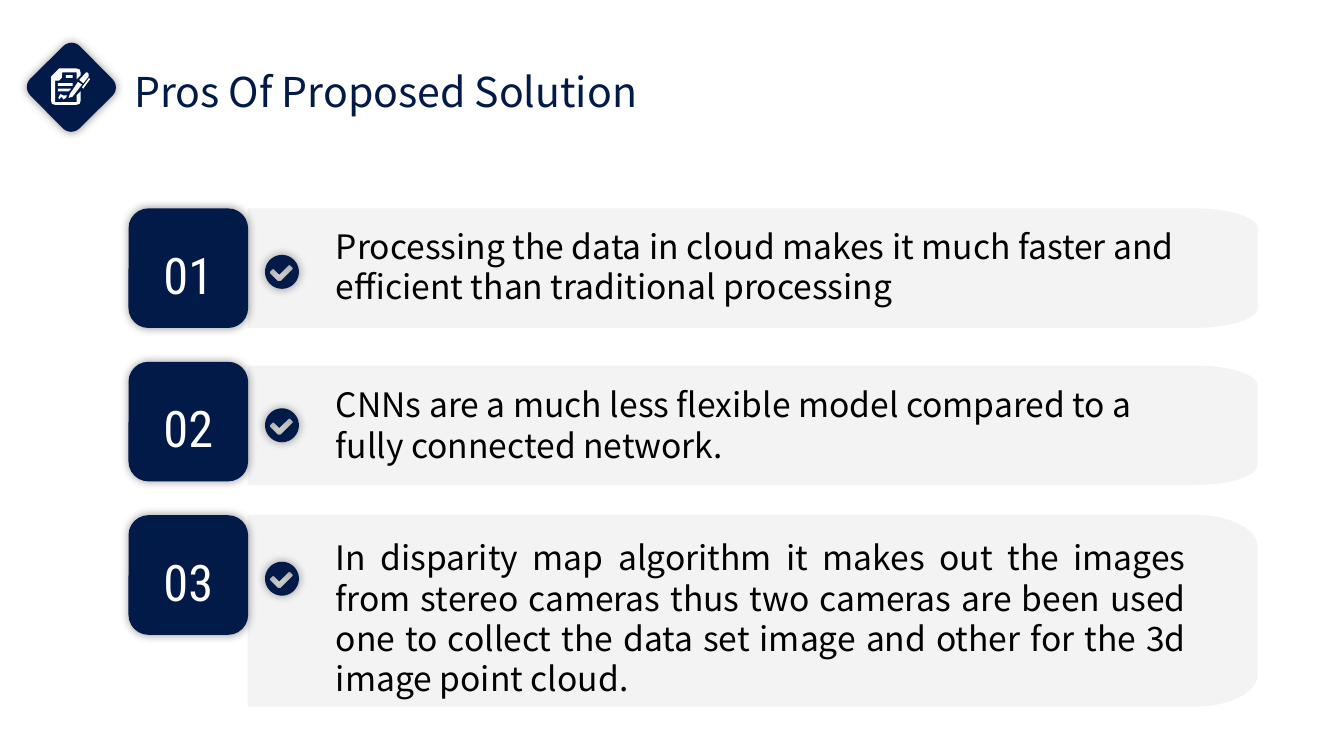
from dataclasses import dataclass
from math import cos, pi, sin

from lxml.etree import SubElement
from pptx import Presentation
from pptx.dml.color import RGBColor
from pptx.enum.shapes import MSO_SHAPE as Shape
from pptx.enum.text import MSO_ANCHOR as Anchor, MSO_AUTO_SIZE as AutoSize, PP_ALIGN as Align
from pptx.oxml.ns import qn
from pptx.util import Cm, Pt

Point = tuple[float, float]
Contour = list[Point]


@dataclass(frozen=True)
class Theme:
    navy: str = "021A48"
    panel: str = "F2F2F2"
    white: str = "FFFFFF"
    black: str = "000000"
    text_font: str = "Noto Sans CJK SC"
    number_font: str = "Roboto Condensed"
    title_size: int = 22
    body_size: int = 18
    number_size: int = 27


@dataclass(frozen=True)
class Advantage:
    text: str
    panel_top: float
    panel_height: float
    text_top: float
    text_height: float
    align: Align = Align.LEFT


THEME = Theme()

# Lengths in centimetres
TILE_LEFT, TILE_TOP, TILE_SIZE, TILE_PITCH = 2.43, 3.94, 2.26, 2.9
PANEL_LEFT, PANEL_RIGHT, PANEL_CORNER = 4.68, 23.77, 1.2
BADGE_X, BADGE_RADIUS = 5.33, 0.32
TEXT_LEFT, TEXT_WIDTH = 6.1, 16.57
HUNDREDTH_INCH = 0.0254

ADVANTAGES = [
    Advantage("Processing the data in cloud makes it much faster and efficient "
              "than traditional processing", 3.94, 2.26, 4.14, 2.57),
    Advantage("CNNs are a much less flexible model compared to a fully "
              "connected network.", 6.91, 2.26, 7.14, 1.8),
    Advantage("In disparity map algorithm it makes out the images from stereo "
              "cameras thus two cameras are been used one to collect the data "
              "set image and other for the 3d image point cloud.",
              9.73, 3.63, 10.03, 3.33, Align.JUSTIFY),
]

# Icon outlines in hundredths of an inch
NOTE_ICON = [
    [(45, 51), (57, 51), (59.3, 51.8), (60, 54), (60, 56), (57, 59), (57, 54),
     (46.3, 54), (46, 58), (44, 60), (41, 60), (41, 76), (57, 76), (57, 71),
     (60, 68), (60, 75), (59.2, 77.4), (57, 78), (41, 78), (38.7, 77.4),
     (38, 75), (38, 57), (44, 51)],
    [(49, 56), (54, 56), (54, 58), (49, 58)],
    [(43, 62), (54, 62), (54, 64), (43, 64)],
    [(43, 66), (53, 66), (51, 68), (43, 68)],
    [(45, 70), (47, 71), (50, 71), (49, 73), (47, 74), (46, 72), (44, 74), (43.5, 72.5)],
    [(58, 61), (61, 63), (54, 72), (51, 73), (52, 70)],
    [(64, 54), (65, 54), (66, 55), (66, 57), (62, 62), (59, 59.5)],
    [(66.3, 58), (67, 59), (62, 66), (61, 65)],
]
CHECK_MARK = [(8, -3), (6, -5), (5, -5), (-2, 2), (-6, -2), (-7, -2),
              (-9, 0), (-9, 1), (-3, 7), (-1, 7), (8, -2)]


def arc(center: Point, radii: Point, start: float, end: float, steps: int) -> Contour:
    angles = [start + (end - start) * step / steps for step in range(steps + 1)]
    return [(center[0] + radii[0] * cos(a), center[1] + radii[1] * sin(a)) for a in angles]


def scaled(points: Contour, origin: Point = (0, 0)) -> Contour:
    return [(origin[0] + x * HUNDREDTH_INCH, origin[1] + y * HUNDREDTH_INCH)
            for x, y in points]


def set_alpha(color_element, percent: int) -> None:
    SubElement(color_element, qn("a:alpha"), val=str(percent * 1000))


def paint(shape, color: str, opacity: int = 100, glow: bool = False) -> None:
    shape.fill.solid()
    shape.fill.fore_color.rgb = RGBColor.from_string(color)
    shape.line.fill.background()
    shape.shadow.inherit = False
    properties = shape._element.spPr
    if opacity < 100:
        set_alpha(properties.find(f"{qn('a:solidFill')}/{qn('a:srgbClr')}"), opacity)
    if glow:
        shadow = SubElement(properties.find(qn("a:effectLst")), qn("a:outerShdw"),
                            blurRad=str(Pt(5)), dist="0", dir="0",
                            algn="ctr", rotWithShape="0")
        set_alpha(SubElement(shadow, qn("a:srgbClr"), val=THEME.black), 40)


def draw_outline(page, contours: list[Contour], color: str, **look) -> None:
    emu = [[(Cm(x), Cm(y)) for x, y in contour] for contour in contours]
    builder = page.shapes.build_freeform(*emu[0][0], scale=1.0)
    for index, (first, *others) in enumerate(emu):
        if index:
            builder.move_to(*first)
        builder.add_line_segments(others, close=True)
    paint(builder.convert_to_shape(), color, **look)


def draw_square(page, left: float, top: float, size: float):
    square = page.shapes.add_shape(Shape.ROUNDED_RECTANGLE,
                                   Cm(left), Cm(top), Cm(size), Cm(size))
    paint(square, THEME.navy, glow=True)
    return square


def write(box, text: str, *, size: int, color: str, font: str = THEME.text_font,
          align: Align = Align.LEFT, spacing: float = 1.0) -> None:
    para = box.text_frame.paragraphs[0]
    para.alignment = align
    para.line_spacing = spacing
    span = para.add_run()
    span.text = text
    span.font.name = font
    span.font.size = Pt(size)
    span.font.color.rgb = RGBColor.from_string(color)


def add_text(page, left: float, top: float, width: float, height: float,
             text: str, **style) -> None:
    box = page.shapes.add_textbox(Cm(left), Cm(top), Cm(width), Cm(height))
    box.text_frame.word_wrap = True
    box.text_frame.auto_size = AutoSize.SHAPE_TO_FIT_TEXT
    write(box, text, **style)


def draw_panel(page, top: float, height: float) -> None:
    bottom, rise = top + height, height / 6
    x, radii = PANEL_RIGHT - PANEL_CORNER, (PANEL_CORNER, rise)
    outline = [(PANEL_LEFT, top),
               *arc((x, top + rise), radii, -pi / 2, 0, 12),
               *arc((x, bottom - rise), radii, 0, pi / 2, 12),
               (PANEL_LEFT, bottom)]
    draw_outline(page, [outline], THEME.panel, opacity=90)


def draw_badge(page, center: Point) -> None:
    disc = arc(center, (BADGE_RADIUS, BADGE_RADIUS), 0, 2 * pi, 48)
    draw_outline(page, [disc, scaled(CHECK_MARK, center)], THEME.navy, glow=True)


def draw_advantage(page, index: int, item: Advantage) -> None:
    tile_top = TILE_TOP + index * TILE_PITCH
    draw_panel(page, item.panel_top, item.panel_height)
    draw_badge(page, (BADGE_X, tile_top + TILE_SIZE / 2 + 0.07))
    tile = draw_square(page, TILE_LEFT, tile_top, TILE_SIZE)
    frame = tile.text_frame
    frame.vertical_anchor = Anchor.MIDDLE
    frame.margin_left = frame.margin_right = frame.margin_top = frame.margin_bottom = 0
    write(tile, f"{index + 1:02}", size=THEME.number_size, color=THEME.white,
          font=THEME.number_font, align=Align.CENTER, spacing=1.2)
    add_text(page, TEXT_LEFT, item.text_top, TEXT_WIDTH, item.text_height, item.text,
             size=THEME.body_size, color=THEME.black, align=item.align)


def main() -> None:
    deck = Presentation()
    deck.slide_width, deck.slide_height = Cm(25.4), Cm(14.29)
    page = deck.slides.add_slide(deck.slide_layouts[6])

    # Heading
    add_text(page, 2.29, 1.14, 10.46, 1.19, "Pros Of Proposed Solution",
             size=THEME.title_size, color=THEME.navy)
    draw_square(page, 0.69, 0.99, 1.32).rotation = 315.4
    draw_outline(page, [scaled(contour) for contour in NOTE_ICON], THEME.white)

    # Numbered advantages
    for index, item in enumerate(ADVANTAGES):
        draw_advantage(page, index, item)

    deck.save("out.pptx")


if __name__ == "__main__":
    main()
